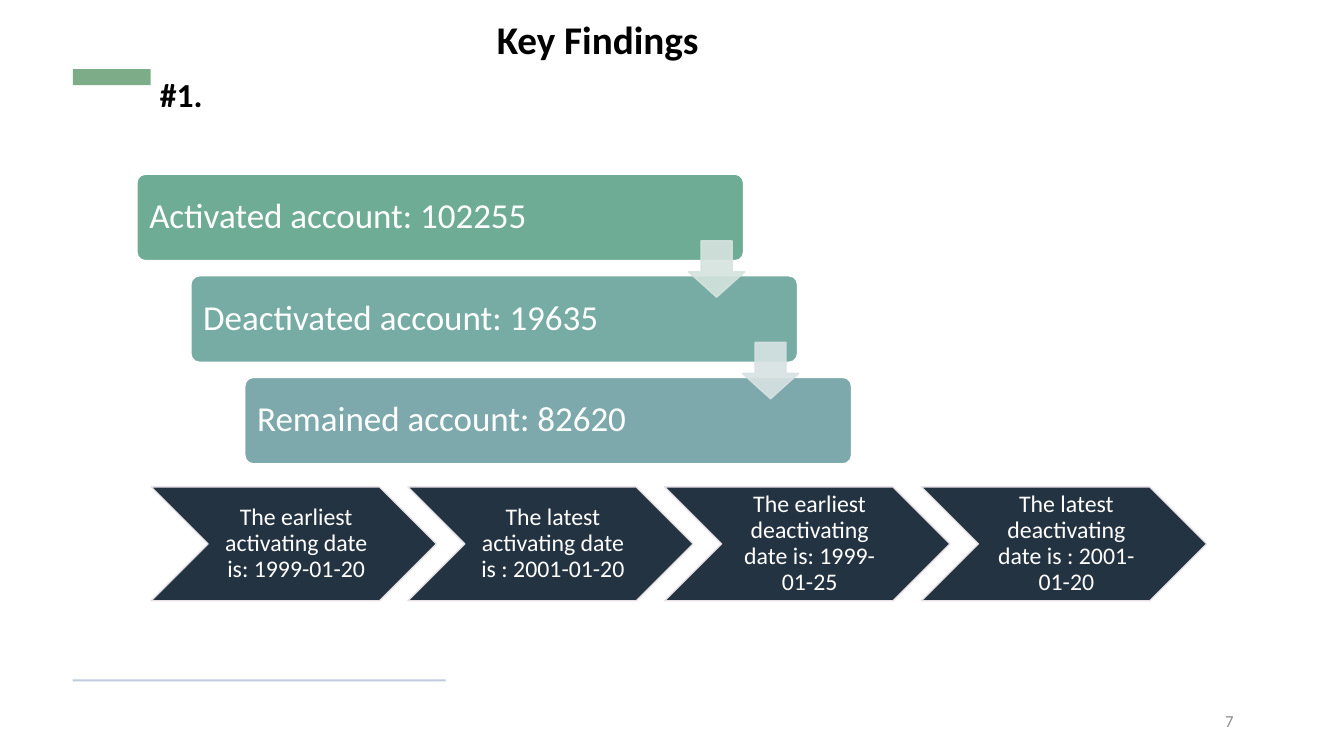
from lxml import etree
from pptx import Presentation
from pptx.dml.color import RGBColor
from pptx.enum import shapes, text
from pptx.oxml.ns import qn
from pptx.util import Cm, Pt

COLORS = {
    "black": "000000", "white": "FFFFFF", "page": "8C8C8C",
    "accent": "7DAD88", "rule": "BDCCDB",
    "chevron": "243341", "chevron_edge": "E8E2E7",
    "activated": "6FAC96", "deactivated": "76ACA4", "remained": "7DA9AC",
    "arrow_1": "D5E3DD", "arrow_2": "D7E2E3",
}
SHAPE = shapes.MSO_SHAPE
LEFT, CENTER, RIGHT = text.PP_ALIGN.LEFT, text.PP_ALIGN.CENTER, text.PP_ALIGN.RIGHT
TOP, MIDDLE = text.MSO_ANCHOR.TOP, text.MSO_ANCHOR.MIDDLE

prs = Presentation()
prs.slide_width, prs.slide_height = Cm(33.87), Cm(19.05)
s = prs.slides.add_slide(prs.slide_layouts[5])


def add_block(kind, box, fill, edge=None, adjustments=()):
    sp = s.shapes.add_shape(kind, *map(Cm, box))
    sp.shadow.inherit = False
    sp.fill.solid()
    sp.fill.fore_color.rgb = RGBColor.from_string(COLORS[fill])
    if edge:
        sp.line.color.rgb = RGBColor.from_string(COLORS[edge])
        sp.line.width = Pt(1)
    else:
        sp.line.fill.background()
    for i, value in enumerate(adjustments):
        sp.adjustments[i] = value
    return sp


def write(sp, words, size, color="white", bold=False, align=LEFT, anchor=MIDDLE,
          spacing=0.9, insets=(0.25, 0.13, 0.25, 0.13)):
    """Fill a shape with one formatted paragraph; insets are left, top, right, bottom in cm."""
    tf = sp.text_frame
    tf.word_wrap = True
    tf.auto_size = text.MSO_AUTO_SIZE.NONE
    tf.vertical_anchor = anchor
    for side, inset in zip(("left", "top", "right", "bottom"), insets):
        setattr(tf, f"margin_{side}", Cm(inset))
    p = tf.paragraphs[0]
    p.alignment, p.line_spacing = align, spacing
    r = p.add_run()
    r.text = words
    for name, value in {"name": "Calibri", "size": Pt(size), "bold": bold}.items():
        setattr(r.font, name, value)
    r.font.color.rgb = RGBColor.from_string(COLORS[color])


# Heading and decoration
title = s.shapes.title
title.left, title.top, title.width, title.height = map(Cm, (12.27, 0.38, 7.21, 1.35))
write(title, "Key Findings", 28, "black", bold=True, anchor=TOP)
add_block(SHAPE.RECTANGLE, (1.84, 1.74, 1.96, 0.41), "accent")
add_block(SHAPE.RECTANGLE, (1.83, 17.12, 9.4, 0.05), "rule")

for words, box, size, color, style in (
    ("#1.", (3.78, 1.73, 2.29, 1.27), 24, "black", {"bold": True, "anchor": TOP}),
    ("7", (23.72, 17.65, 7.62, 1.02), 12, "page", {"align": RIGHT}),
):
    write(s.shapes.add_textbox(*map(Cm, box)), words, size, color, spacing=1, **style)

# Date chevrons
dates = (
    "The earliest activating date is: 1999-01-20",
    "The latest activating date is : 2001-01-20",
    "The earliest deactivating date is: 1999-01-25",
    "The latest deactivating date is : 2001-01-20",
)
for i, words in enumerate(dates):
    chevron = add_block(SHAPE.CHEVRON, (3.81 + 6.47 * i, 12.27, 7.19, 2.87),
                        "chevron", "chevron_edge")
    write(chevron, words, 17, align=CENTER, insets=(0.18, 0.06, 0.06, 0.06))

# Staggered account bars, with the arrows in front
STEP_X, STEP_Y = 1.36, 2.56
accounts = (
    ("Activated account: 102255", "activated"),
    ("Deactivated account: 19635", "deactivated"),
    ("Remained account: 82620", "remained"),
)
for i, (words, fill) in enumerate(accounts):
    bar = add_block(SHAPE.ROUNDED_RECTANGLE,
                    (3.45 + STEP_X * i, 4.39 + STEP_Y * i, 15.29, 2.18),
                    fill, "white", (0.1,))
    write(bar, words, 25, insets=(0.25,) * 4)

for i, color in enumerate(("arrow_1", "arrow_2")):
    arrow = add_block(SHAPE.DOWN_ARROW,
                      (17.35 + STEP_X * i, 6.07 + STEP_Y * i, 1.42, 1.42),
                      color, color, (0.55, 0.45))
    for clr in arrow.element.spPr.iter(qn("a:srgbClr")):
        etree.SubElement(clr, qn("a:alpha")).set("val", "90000")

prs.save("out.pptx")
